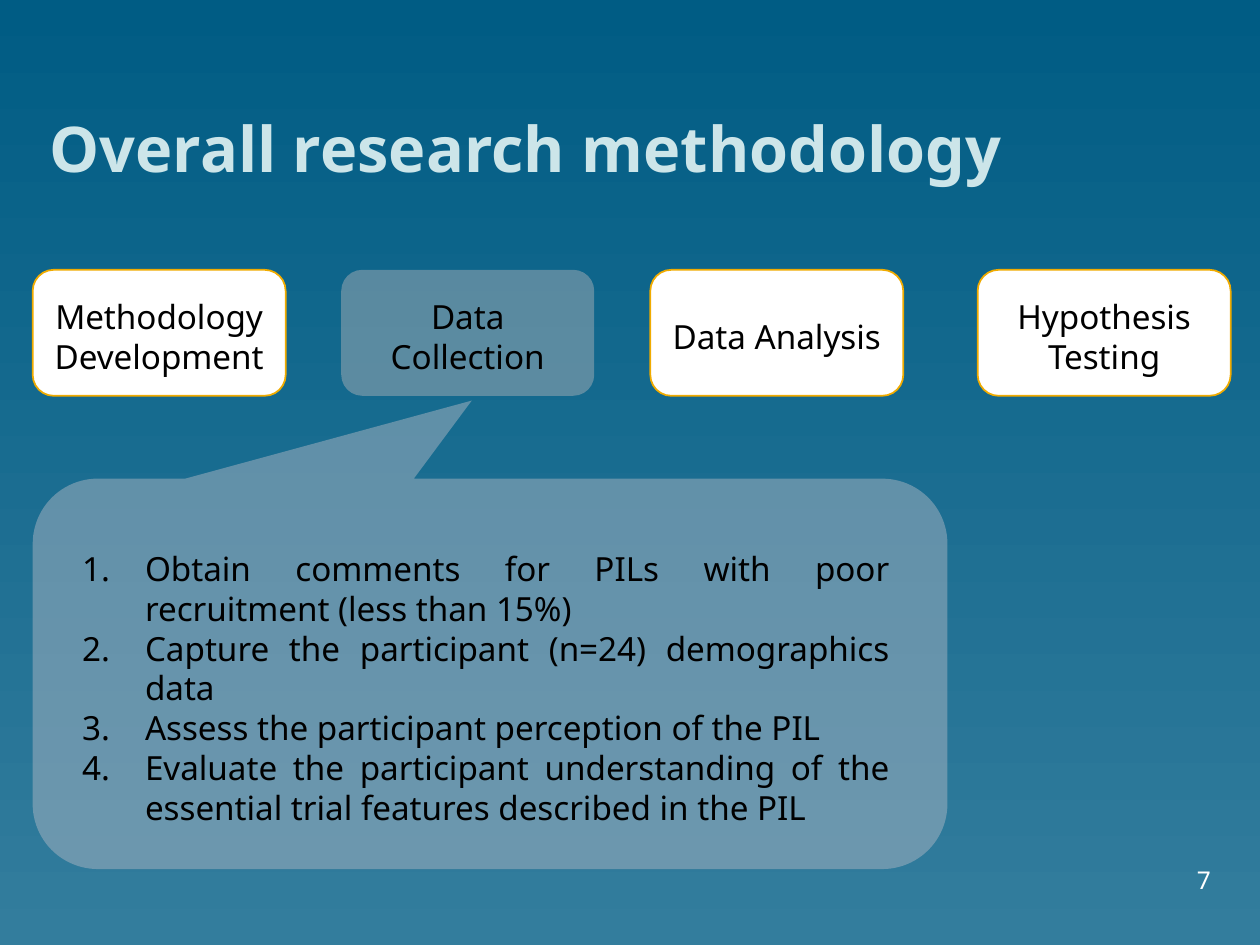
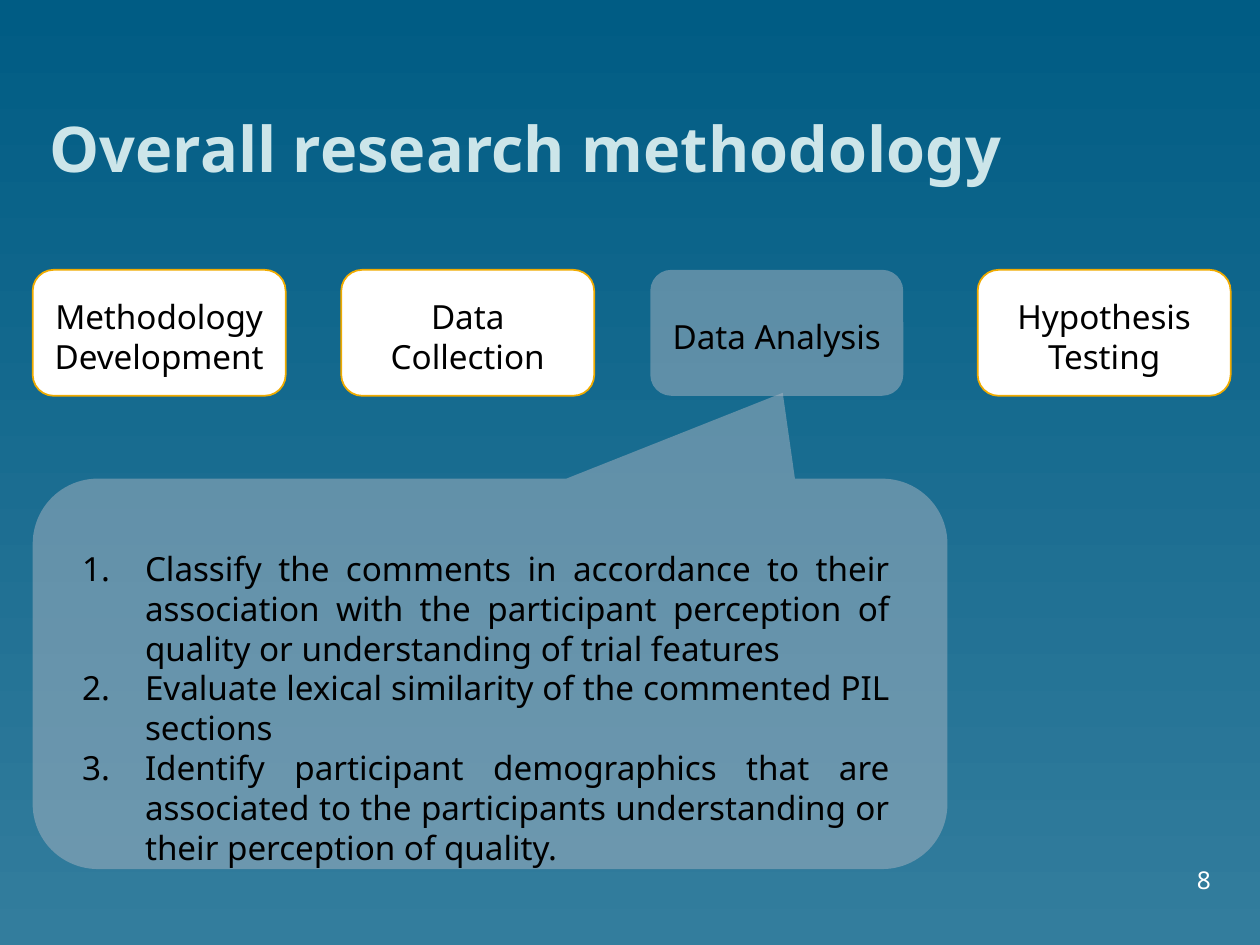
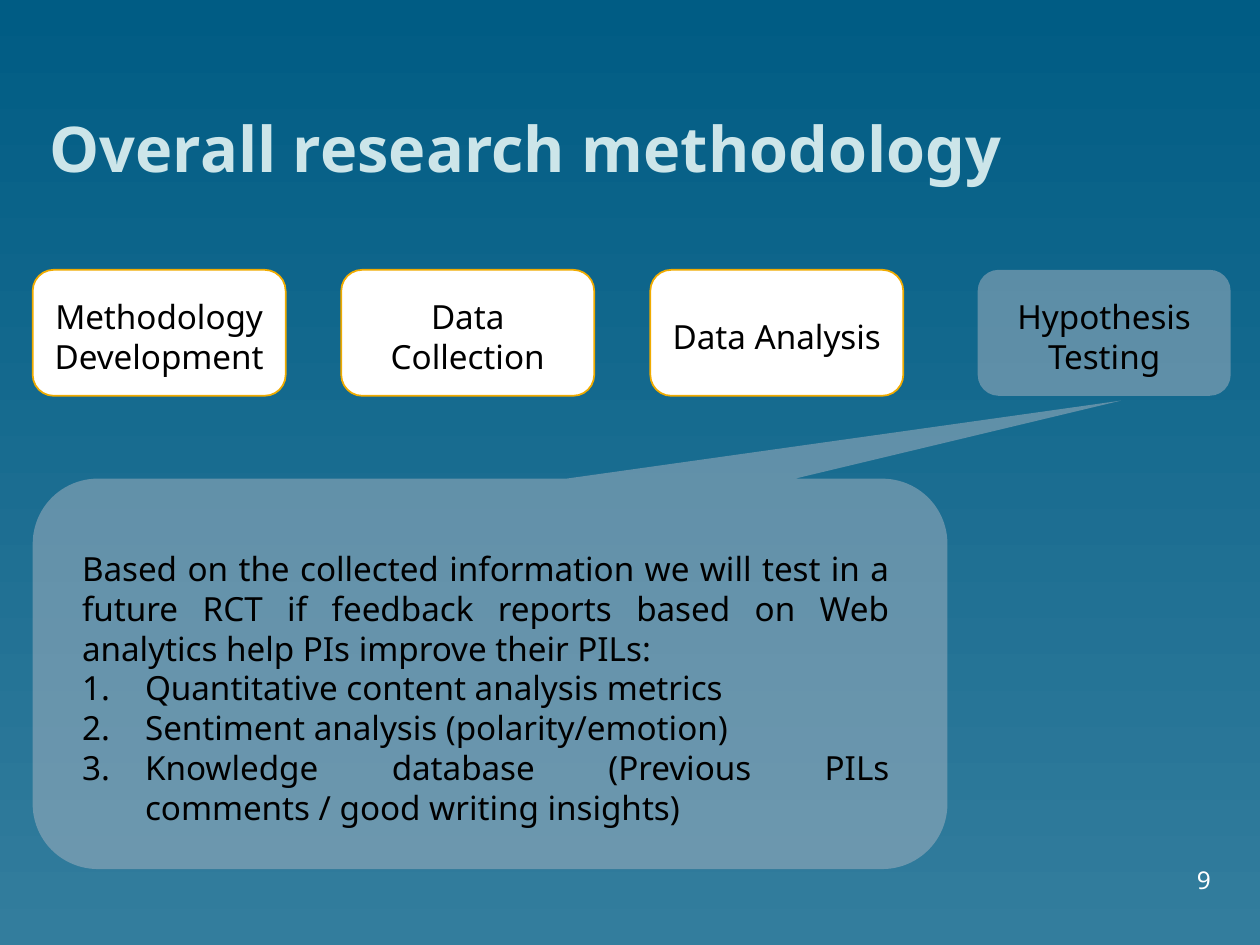
import pptx
import pptx.dml.color
import pptx.enum.shapes
import pptx.enum.text
import pptx.oxml.ns
import pptx.util
from lxml import etree

Cm = pptx.util.Cm
Pt = pptx.util.Pt
ALIGN = pptx.enum.text.PP_ALIGN
ANCHOR = pptx.enum.text.MSO_ANCHOR
SHAPE = pptx.enum.shapes.MSO_SHAPE

COLORS = {
    "sky_top": "005C84", "sky_bottom": "337D9D", "title": "CCE5E9",
    "white": "FFFFFF", "black": "000000", "gold": "F0AB00",
    "callout": "AAB5C2", "grey": "A4AEB5",
}
FONTS = {
    "title": {"size": Pt(36), "bold": True, "name": "Noto Sans"},
    "number": {"size": Pt(14), "name": "Noto Sans"},
    "text": {"size": Pt(19), "name": "Noto Sans"},
}
NO_INSETS = {"margin_left": 0, "margin_top": 0, "margin_right": 0, "margin_bottom": 0}
STAGE_INSETS = {"margin_left": Cm(0.25), "margin_top": Cm(0.13),
                "margin_right": Cm(0.25), "margin_bottom": 0}

TITLE = "Overall research methodology"
TITLE_BOX = (Cm(1), 0, Cm(23.42), Cm(3.73))
NUMBER_BOX = (Cm(19.1), Cm(17.53), Cm(5.31), Cm(0.51))
STAGES_BOX = (Cm(0.66), Cm(5.44), Cm(5.1), Cm(2.54))
CALLOUT_BOX = (Cm(0.66), Cm(9.65), Cm(18.44), Cm(7.87))
FIRST_NUMBER = 7

STAGES = [
    ("Methodology Development", Cm(0)),
    ("Data Collection", Cm(6.22)),
    ("Data Analysis", Cm(12.45)),
    ("Hypothesis Testing", Cm(19.05)),
]
SLIDES = [
    {"active": "Data Collection", "fill": "grey", "tip": (-0.02, -0.7), "intro": [],
     "items": ["Obtain comments for PILs with poor recruitment (less than 15%)",
               "Capture the participant (n=24) demographics data",
               "Assess the participant perception of the PIL",
               "Evaluate the participant understanding of the essential trial "
               "features described in the PIL"]},
    {"active": "Data Analysis", "fill": "callout", "tip": (0.32, -0.72), "intro": [],
     "items": ["Classify the comments in accordance to their association with the "
               "participant perception of quality or understanding of trial features",
               "Evaluate lexical similarity of the commented PIL sections",
               "Identify participant demographics that are associated to the "
               "participants understanding or their perception of quality."]},
    {"active": "Hypothesis Testing", "fill": "callout", "tip": (0.69, -0.7),
     "intro": ["Based on the collected information we will test in a future RCT if "
               "feedback reports based on Web analytics help PIs improve their PILs:"],
     "items": ["Quantitative content analysis metrics",
               "Sentiment analysis (polarity/emotion)",
               "Knowledge database (Previous PILs comments / good writing insights)"]},
]


def rgb(color):
    """Return the named colour."""
    return pptx.dml.color.RGBColor.from_string(COLORS[color])


def set_all(target, values):
    """Set each named attribute of the target."""
    for name, value in values.items():
        setattr(target, name, value)


def place(sp, box):
    """Move a shape to the box."""
    set_all(sp, dict(zip(("left", "top", "width", "height"), box)))


def write(p, text, font, color, align):
    """Write one formatted run into the paragraph."""
    p.alignment = align
    r = p.add_run()
    r.text = text
    set_all(r.font, FONTS[font])
    r.font.color.rgb = rgb(color)


def fill_half(sp, color):
    """Fill a shape at half opacity without an outline."""
    sp.fill.solid()
    sp.fill.fore_color.rgb = rgb(color)
    clr = sp.fill._xPr.find(".//" + pptx.oxml.ns.qn("a:srgbClr"))
    etree.SubElement(clr, pptx.oxml.ns.qn("a:alpha"), val="50000")
    sp.line.fill.background()


def set_marker(p, numbered):
    """Number the paragraph, or clear its bullet and indent."""
    pPr = p._p.get_or_add_pPr()
    indent = Cm(1.27) if numbered else 0
    pPr.set("marL", str(indent))
    pPr.set("indent", str(-indent))
    if numbered:
        etree.SubElement(pPr, pptx.oxml.ns.qn("a:buFont"), typeface="+mj-lt")
        etree.SubElement(pPr, pptx.oxml.ns.qn("a:buAutoNum"), type="arabicPeriod")
    else:
        etree.SubElement(pPr, pptx.oxml.ns.qn("a:buNone"))


def set_background(master):
    """Give every slide the vertical blue gradient."""
    fill = master.background.fill
    fill.gradient()
    fill.gradient_angle = 270
    for stop, color, position in zip(fill.gradient_stops, ("sky_top", "sky_bottom"), (0, 1)):
        stop.color.rgb = rgb(color)
        stop.position = position


def add_title(s, box):
    """Fill the title placeholder."""
    sp = s.shapes.title
    place(sp, box)
    tf = sp.text_frame
    set_all(tf, {**NO_INSETS, "vertical_anchor": ANCHOR.BOTTOM, "word_wrap": True,
                 "auto_size": pptx.enum.text.MSO_AUTO_SIZE.NONE})
    write(tf.paragraphs[0], TITLE, "title", "title", ALIGN.LEFT)


def add_number(s, box, number):
    """Add the slide number."""
    tf = s.shapes.add_textbox(*box).text_frame
    set_all(tf, {**NO_INSETS, "vertical_anchor": ANCHOR.BOTTOM, "word_wrap": True})
    write(tf.paragraphs[0], str(number), "number", "white", ALIGN.RIGHT)


def add_stages(s, box, active, active_fill):
    """Add the row of stages with the active one greyed."""
    left, top, width, height = box
    for name, offset in STAGES:
        sp = s.shapes.add_shape(SHAPE.ROUNDED_RECTANGLE, left + offset, top, width, height)
        sp.shadow.inherit = False
        if name == active:
            fill_half(sp, active_fill)
        else:
            sp.fill.solid()
            sp.fill.fore_color.rgb = rgb("white")
            sp.line.color.rgb = rgb("gold")
            sp.line.width = Pt(1)
        tf = sp.text_frame
        set_all(tf, {**STAGE_INSETS, "vertical_anchor": ANCHOR.MIDDLE, "word_wrap": True})
        write(tf.paragraphs[0], name, "text", "black", ALIGN.CENTER)


def add_callout(s, box, tip, intro, items):
    """Add the callout pointing at the active stage, with its list on top."""
    left, top, width, height = box
    sp = s.shapes.add_shape(SHAPE.ROUNDED_RECTANGULAR_CALLOUT, *box)
    sp.shadow.inherit = False
    sp.adjustments[0], sp.adjustments[1] = tip
    fill_half(sp, "callout")

    body = s.placeholders[1]
    s.shapes._spTree.append(body._element)
    place(body, (left + Cm(0.74), top + Cm(1.27), width - Cm(1.65), height - Cm(1.11)))
    tf = body.text_frame
    set_all(tf, {"vertical_anchor": ANCHOR.TOP, "word_wrap": True,
                 "auto_size": pptx.enum.text.MSO_AUTO_SIZE.SHAPE_TO_FIT_TEXT})
    for i, text in enumerate(intro + items):
        p = tf.add_paragraph() if i else tf.paragraphs[0]
        p.space_before = Pt(0)
        set_marker(p, i >= len(intro))
        write(p, text, "text", "black", ALIGN.JUSTIFY)


def add_methodology_slide(prs, number, content):
    """Add one methodology slide."""
    s = prs.slides.add_slide(prs.slide_layouts[1])
    add_title(s, TITLE_BOX)
    add_number(s, NUMBER_BOX, number)
    add_stages(s, STAGES_BOX, content["active"], content["fill"])
    add_callout(s, CALLOUT_BOX, content["tip"], content["intro"], content["items"])


def main():
    """Build and save the presentation."""
    prs = pptx.Presentation()
    set_all(prs, {"slide_width": Cm(25.4), "slide_height": Cm(19.05)})
    set_background(prs.slide_master)
    for number, content in enumerate(SLIDES, FIRST_NUMBER):
        add_methodology_slide(prs, number, content)
    prs.save("out.pptx")


if __name__ == "__main__":
    main()
